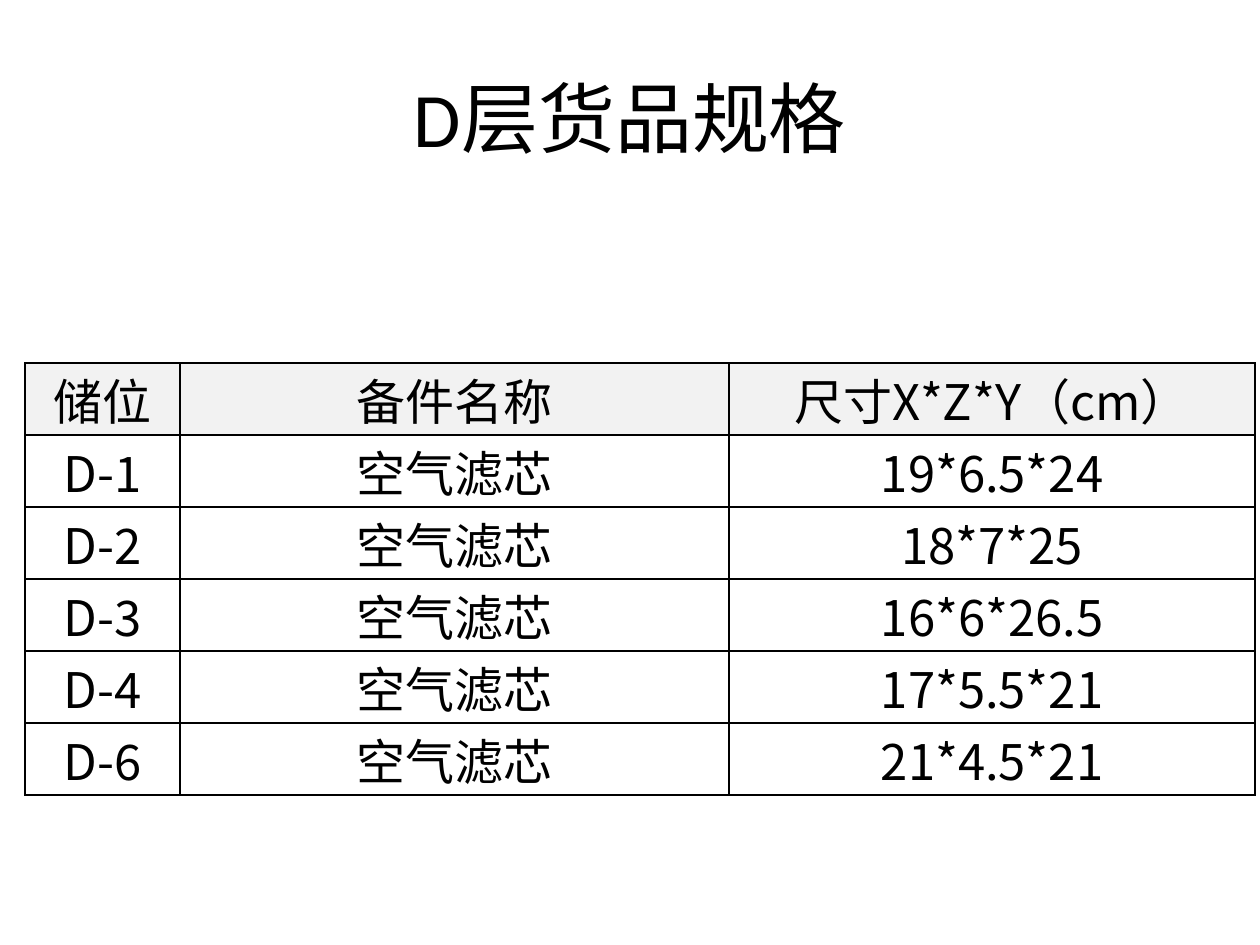
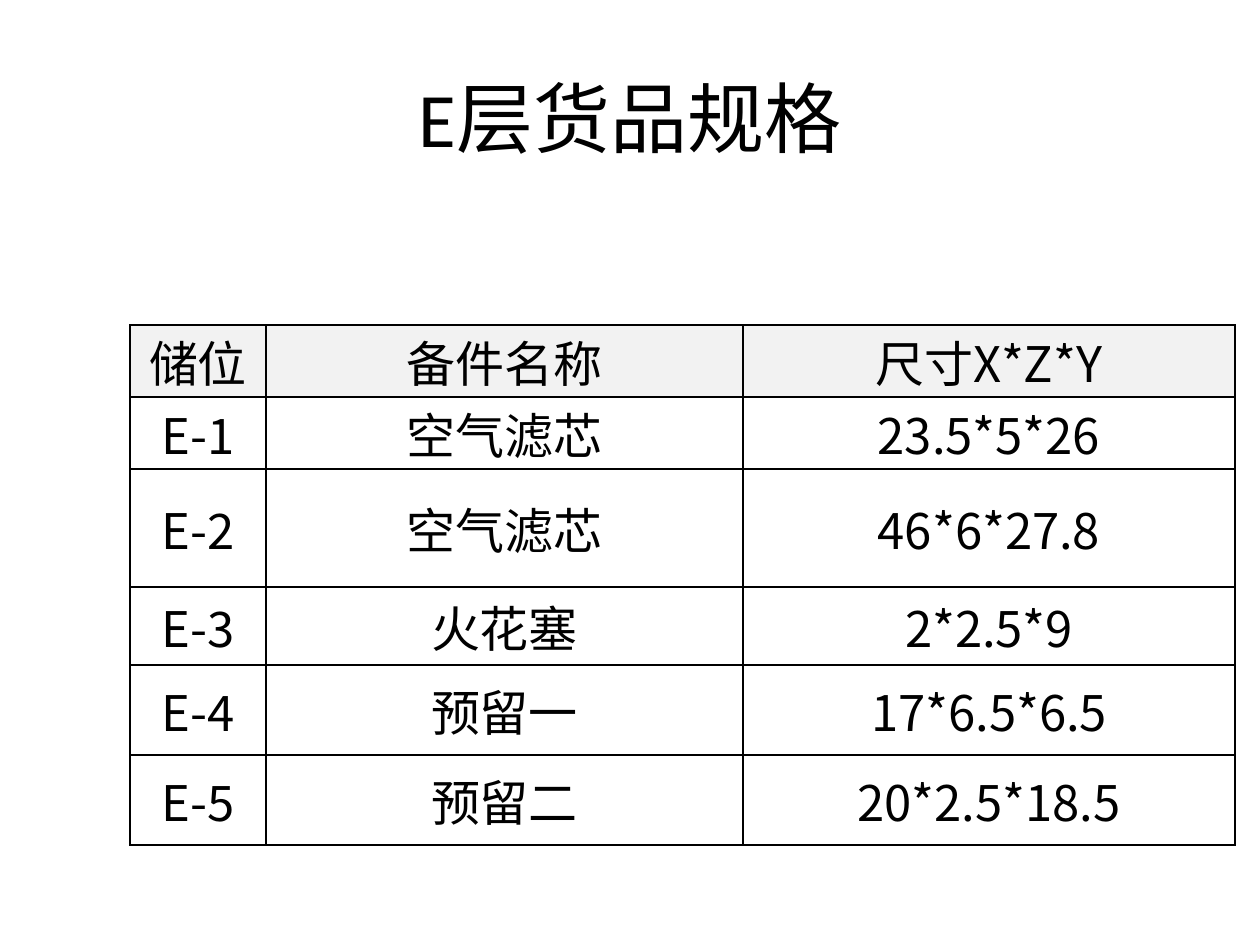
from lxml import etree
from pptx import Presentation
from pptx import util as u
from pptx.dml.color import RGBColor
from pptx.enum import text
from pptx.oxml import ns

SCALE = u.Inches(1) / 126
BLACK = "000000"
HEADER_FILL = "F2F2F2"
TITLE_FONT = "Calibri"
TABLE_FONT = "Noto Sans CJK SC"
TITLE_BOX = (63, 38, 1134, 157)


def px(length):
    """Turn pixels into EMU."""
    return u.Emu(round(length * SCALE))


def color(value):
    """Turn a hex string into a colour."""
    return RGBColor.from_string(value)


def format_paragraph(paragraph, font_name, size):
    """Centre a paragraph and set the font of its runs."""
    paragraph.alignment = text.PP_ALIGN.CENTER
    for run in paragraph.runs:
        font = run.font
        font.name, font.size, font.bold = font_name, u.Pt(size), False
        font.color.rgb = color(BLACK)
        east_asian = etree.SubElement(run._r.get_or_add_rPr(), ns.qn("a:ea"))
        east_asian.set("typeface", TABLE_FONT)


def add_title(slide, title):
    """Place and format the title placeholder."""
    shape = slide.shapes.title
    shape.left, shape.top, shape.width, shape.height = map(px, TITLE_BOX)
    shape.text_frame.text = title
    shape.text_frame.vertical_anchor = text.MSO_ANCHOR.MIDDLE
    format_paragraph(shape.text_frame.paragraphs[0], TITLE_FONT, 44)


def add_borders(cell):
    """Draw a thin black line on all four sides of a cell."""
    properties = cell._tc.get_or_add_tcPr()
    for side in ("lnL", "lnR", "lnT", "lnB"):
        line = etree.SubElement(properties, ns.qn(f"a:{side}"), w=str(u.Pt(1)))
        fill = etree.SubElement(line, ns.qn("a:solidFill"))
        etree.SubElement(fill, ns.qn("a:srgbClr"), val=BLACK)


def format_cell(cell, value, is_header):
    """Write one table cell with its borders and fill."""
    cell.text_frame.text = value
    format_paragraph(cell.text_frame.paragraphs[0], TABLE_FONT, 28)
    cell.vertical_anchor = text.MSO_ANCHOR.MIDDLE
    cell.margin_left = cell.margin_right = cell.margin_top = px(1)
    cell.margin_bottom = 0
    add_borders(cell)
    if is_header:
        cell.fill.solid()
        cell.fill.fore_color.rgb = color(HEADER_FILL)
    else:
        cell.fill.background()


def add_spec_table(slide, left, top, widths, heights, rows):
    """Add a table of storage places, part names and sizes."""
    frame = slide.shapes.add_table(
        len(rows), len(widths), px(left), px(top), px(sum(widths)), px(sum(heights)))
    table = frame.table
    table.first_row = table.horz_banding = False
    for column, width in zip(table.columns, widths):
        column.width = px(width)
    for row_index, (height, values) in enumerate(zip(heights, rows)):
        table.rows[row_index].height = px(height)
        for column_index, value in enumerate(values):
            format_cell(table.cell(row_index, column_index), value, row_index == 0)


def add_layer_slide(presentation, layer, size_heading, parts, **placement):
    """Add the slide with the goods of one shelf layer."""
    slide = presentation.slides.add_slide(presentation.slide_layouts[5])
    add_title(slide, f"{layer}层货品规格")
    rows = [("储位", "备件名称", size_heading)]
    rows += [(f"{layer}-{number}", name, size) for number, name, size in parts]
    add_spec_table(slide, rows=rows, **placement)


def main():
    """Build and save the presentation."""
    presentation = Presentation()
    presentation.slide_width, presentation.slide_height = px(1260), px(945)
    air_filter = "空气滤芯"
    add_layer_slide(
        presentation, "D", "尺寸X*Z*Y（cm）",
        [(1, air_filter, "19*6.5*24"),
         (2, air_filter, "18*7*25"),
         (3, air_filter, "16*6*26.5"),
         (4, air_filter, "17*5.5*21"),
         (6, air_filter, "21*4.5*21")],
        left=25, top=363, widths=[155, 549, 526], heights=[72] * 6)
    add_layer_slide(
        presentation, "E", "尺寸X*Z*Y",
        [(1, air_filter, "23.5*5*26"),
         (2, air_filter, "46*6*27.8"),
         (3, "火花塞", "2*2.5*9"),
         (4, "预留一", "17*6.5*6.5"),
         (5, "预留二", "20*2.5*18.5")],
        left=130, top=325, widths=[136, 477, 492],
        heights=[72, 72, 118, 78, 90, 90])
    presentation.save("out.pptx")


main()
